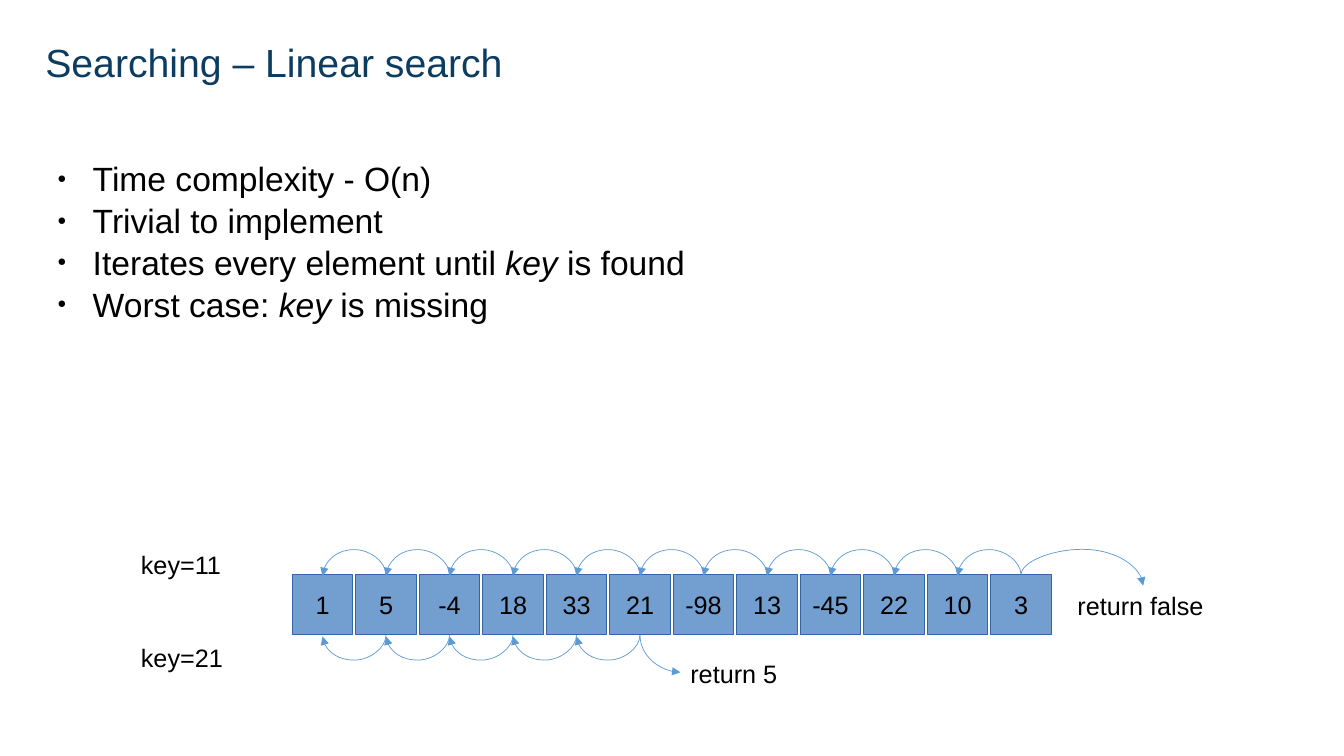
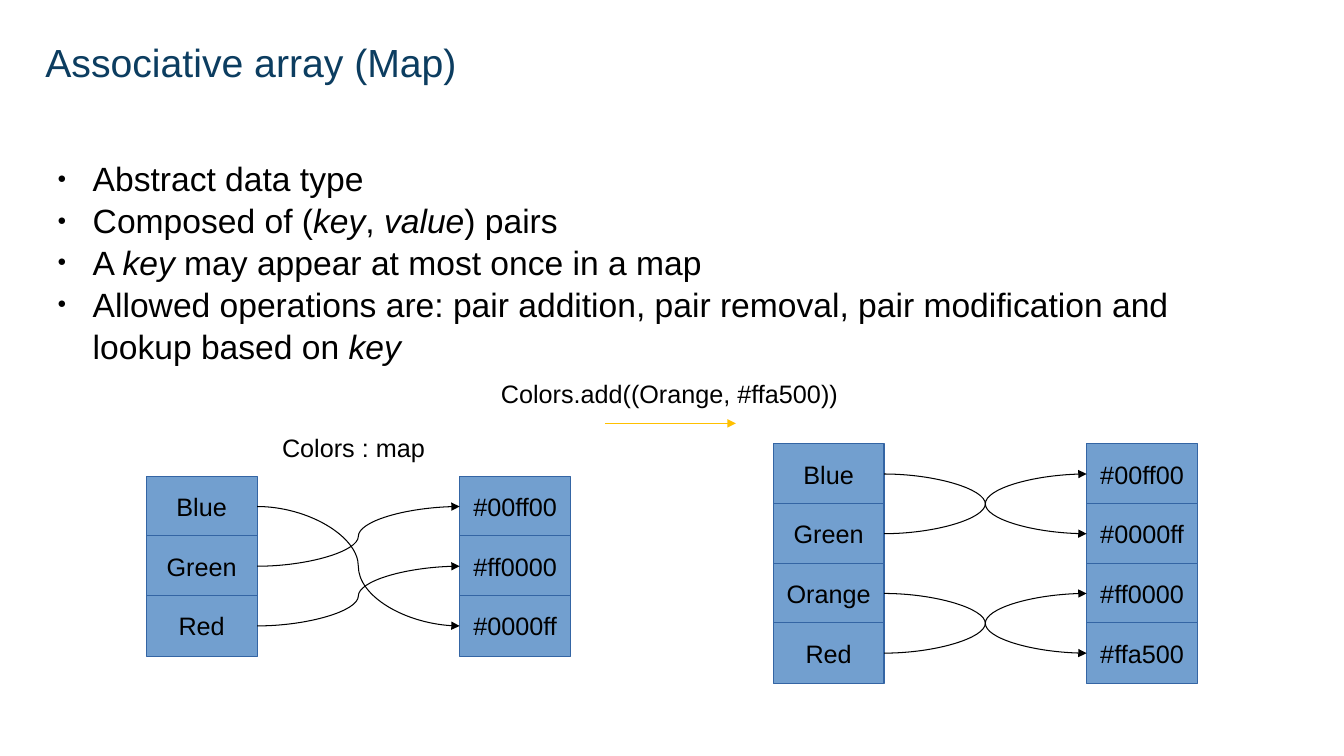
from itertools import pairwise
from lxml.etree import SubElement as Sub
from pptx import Presentation
from pptx.dml.color import RGBColor
from pptx.enum.shapes import MSO_CONNECTOR as CONN, MSO_SHAPE as SHAPE
from pptx.enum.text import MSO_ANCHOR as ANCHOR, MSO_AUTO_SIZE as AUTO, PP_ALIGN as ALIGN
from pptx.oxml.ns import qn
from pptx.util import Emu, Inches, Pt

W, H = Inches(13.333), Inches(7.5)
NAVY, BLACK, FILL, EDGE, SKY, AMBER = "0C3D60", "000000", "729FCF", "3465A4", "5B9BD5", "FFC000"
TITLE = dict(size=Pt(28), name="Arial", bold=False)
BODY = dict(size=Pt(24), name="Arial")
LABEL = dict(size=Pt(18), name="Arial")
FRAME = dict(word_wrap=True, auto_size=AUTO.NONE)
TIGHT = dict.fromkeys(("margin_left", "margin_right", "margin_top", "margin_bottom"), Inches(0.05))
TOP, LEFT, BOTTOM, RIGHT = range(4)
BULGE = Inches(0.25)
CELL_H, ROW = 8, 7.9


def color(value):
    return RGBColor.from_string(value)


def apply(target, values):
    for name, value in values.items():
        setattr(target, name, value)


def area(x, y, w, h):
    return [Emu(round(v * side / 100)) for v, side in ((x, W), (y, H), (w, W), (h, H))]


def place(sp, x, y, w, h):
    apply(sp, dict(zip(("left", "top", "width", "height"), area(x, y, w, h))))


def write(p, text, font, hue):
    for i, part in enumerate(text.split("*")):
        if part:
            r = p.add_run()
            r.text = part
            apply(r.font, font)
            r.font.color.rgb = color(hue)
            if i % 2:
                r.font.italic = True


def bullet(p):
    pPr = p._p.get_or_add_pPr()
    pPr.set("marL", str(Inches(0.47)))
    pPr.set("indent", str(Inches(-0.35)))
    Sub(Sub(pPr, qn("a:buClr")), qn("a:srgbClr"), val=BLACK)
    Sub(pPr, qn("a:buSzPct"), val="45000")
    Sub(pPr, qn("a:buFont"), typeface="Arial")
    Sub(pPr, qn("a:buChar"), char="●")


def add_slide(prs, title, items):
    s = prs.slides.add_slide(prs.slide_layouts[1])
    head, body = s.placeholders
    place(head, 3, 2.67, 82.72, 11.73)
    place(body, 3, 20, 90.08, 70)
    for sp, anchor in ((head, ANCHOR.MIDDLE), (body, ANCHOR.TOP)):
        apply(sp.text_frame, FRAME | TIGHT | dict(vertical_anchor=anchor))
    p = head.text_frame.paragraphs[0]
    apply(p, dict(alignment=ALIGN.LEFT, line_spacing=0.9))
    write(p, title, TITLE, NAVY)
    tf = body.text_frame
    for i, item in enumerate(items):
        p = tf.add_paragraph() if i else tf.paragraphs[0]
        bullet(p)
        apply(p, dict(space_before=Pt(0), line_spacing=1.04))
        write(p, item, BODY, BLACK)
    return s


def add_cell(s, text, x, y, w):
    sp = s.shapes.add_shape(SHAPE.RECTANGLE, *area(x, y, w, CELL_H))
    sp.shadow.inherit = False
    sp.fill.solid()
    sp.fill.fore_color.rgb = color(FILL)
    sp.line.color.rgb = color(EDGE)
    sp.line.width = Pt(0.75)
    apply(sp.text_frame, FRAME | dict(vertical_anchor=ANCHOR.MIDDLE))
    p = sp.text_frame.paragraphs[0]
    p.alignment = ALIGN.CENTER
    write(p, text, LABEL, BLACK)
    return sp


def add_label(s, text, x, y, w, h=5.07):
    sp = s.shapes.add_textbox(*area(x, y, w, h))
    apply(sp.text_frame, FRAME)
    write(sp.text_frame.paragraphs[0], text, LABEL, BLACK)
    return sp


def add_arrow(s, kind, ends, hue, width):
    c = s.shapes.add_connector(kind, *ends)
    c.line.color.rgb = color(hue)
    c.line.width = Pt(width)
    Sub(c.line._get_or_add_ln(), qn("a:tailEnd"), type="triangle")
    Sub(c._element.spPr, qn("a:effectLst"))
    return c


def link(s, a, a_side, b, b_side, hue, width):
    c = add_arrow(s, CONN.CURVE, (0, 0, 0, 0), hue, width)
    c.begin_connect(a, a_side)
    c.end_connect(b, b_side)
    return c


def hop(s, a, a_side, b, b_side, bulge=None):
    c = link(s, a, a_side, b, b_side, SKY, 0.5)
    run, drop = c.end_x - c.begin_x, max(c.end_y - c.begin_y, Pt(1))
    mid_x, mid_y = c.begin_x + run // 2, c.begin_y + drop // 2
    apply(c, dict(left=mid_x - drop // 2, top=mid_y - run // 2, width=drop, height=run))
    spPr = c._element.spPr
    xfrm, geom = spPr.find(qn("a:xfrm")), spPr.find(qn("a:prstGeom"))
    xfrm.set("rot", str(270 * 60000))
    xfrm.set("flipH", "1")
    if bulge is None:
        geom.set("prst", "curvedConnector2")
    else:
        ratio = round(bulge / drop * 100000)
        Sub(geom.find(qn("a:avLst")), qn("a:gd"), name="adj1", fmla=f"val {ratio}")


def add_map(s, x, y, pairs, values):
    keys = {k: add_cell(s, k, x, y + i * ROW, 8.25) for i, k in enumerate(pairs)}
    cells = {v: add_cell(s, v, x + 23.32, y + i * ROW, 8.25) for i, v in enumerate(values)}
    for k, v in pairs.items():
        link(s, keys[k], RIGHT, cells[v], LEFT, BLACK, 0.75)


def linear_search(prs):
    s = add_slide(prs, "Searching – Linear search", [
        "Time complexity - O(n)",
        "Trivial to implement",
        "Iterates every element until *key *is found",
        "Worst case: *key *is missing",
    ])
    numbers = (1, 5, -4, 18, 33, 21, -98, 13, -45, 22, 10, 3)
    cells = [add_cell(s, str(n), 21.75 + 4.725 * i, 76, 4.5) for i, n in enumerate(numbers)]
    missing = add_label(s, "return false", 79.43, 77.47, 11.25)
    found = add_label(s, "return 5", 50.63, 86.4, 8.4)
    add_label(s, "key=11", 9.75, 72, 8.25)
    add_label(s, "key=21", 9.75, 84.27, 8.25)
    hit = numbers.index(21)
    for a, b in pairwise(cells[:hit + 1]):
        hop(s, a, BOTTOM, b, BOTTOM, BULGE)
    hop(s, cells[hit], BOTTOM, found, LEFT)
    for a, b in pairwise(cells + [missing]):
        hop(s, a, TOP, b, TOP, -BULGE)


def associative_array(prs):
    s = add_slide(prs, "Associative array (Map)", [
        "Abstract data type",
        "Composed of (*key*, *value*) pairs",
        "A *key* may appear at most once in a map",
        "Allowed operations are: pair addition, pair removal, pair modification "
        "and lookup based on *key*",
    ])
    add_map(s, 10.88, 63, {"Blue": "#0000ff", "Green": "#00ff00", "Red": "#ff0000"},
            ("#00ff00", "#ff0000", "#0000ff"))
    add_map(s, 57.53, 58.7,
            {"Blue": "#0000ff", "Green": "#00ff00", "Orange": "#ffa500", "Red": "#ff0000"},
            ("#00ff00", "#0000ff", "#ff0000", "#ffa500"))
    add_label(s, "Colors : map", 20.25, 56.53, 12.75)
    add_label(s, "Colors.add((Orange, #ffa500))", 36.53, 49.33, 27)
    x, y, w, _ = area(45, 56, 9.75, 0)
    add_arrow(s, CONN.STRAIGHT, (x, y, x + w, y), AMBER, 0.5)


def main():
    prs = Presentation()
    apply(prs, dict(slide_width=W, slide_height=H))
    linear_search(prs)
    associative_array(prs)
    prs.save("out.pptx")


if __name__ == "__main__":
    main()
